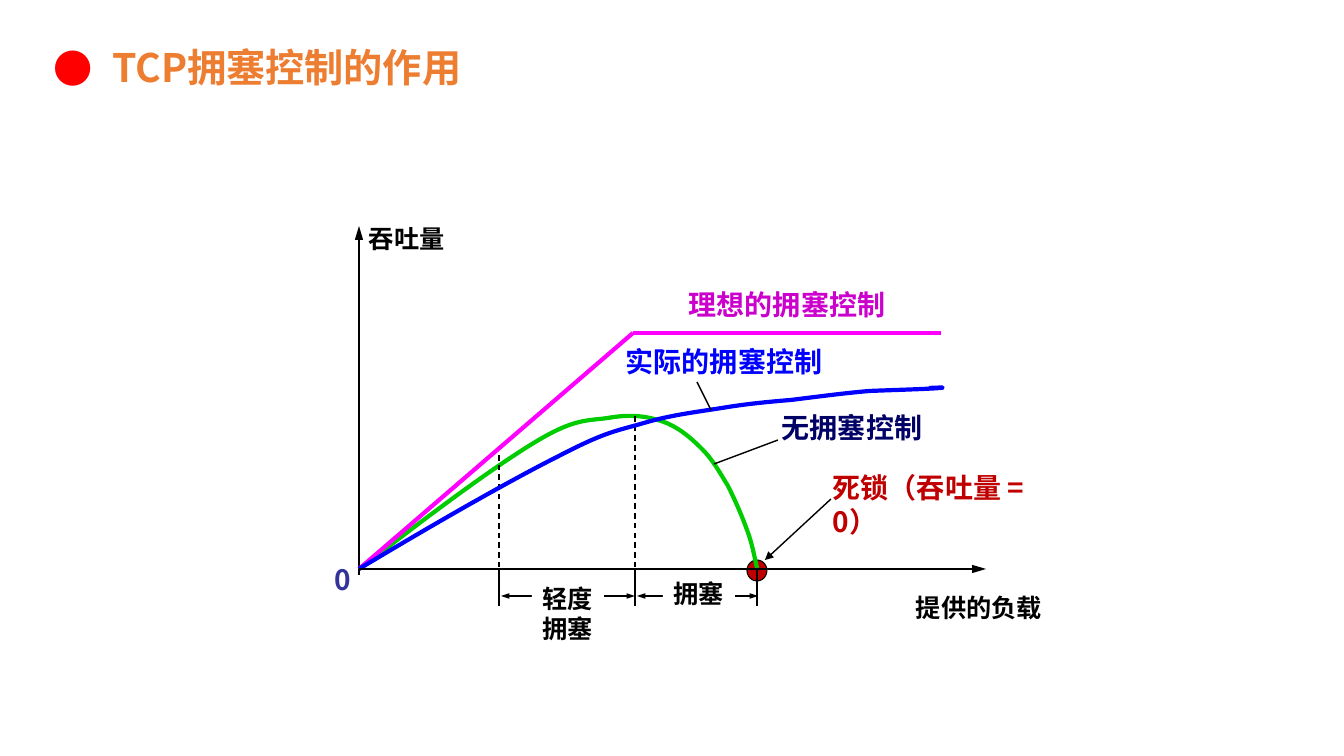
from lxml import etree
from pptx import Presentation
from pptx import util as u
from pptx.dml import color
from pptx.enum import dml, shapes, text
from pptx.oxml import ns

SCALE = 914400 / 100.8
FONT = "Noto Sans CJK SC"
BLACK, WHITE, DEADLOCK = "000000", "FFFFFF", "C00000"
ORIGIN_X, AXIS_Y = 359, 569
LIGHT_X, HEAVY_X, DEADLOCK_X = 499, 635, 757

NO_CONTROL_CURVE = [
    (361, 568), (425, 518), (491, 469), (532, 444), (574, 418), (587, 421),
    (608, 418), (630, 414), (646, 416), (661, 421), (677, 426), (690, 437),
    (702, 449), (713, 460), (720, 473), (728, 486), (735, 500), (742, 516),
    (747, 530), (752, 543), (754, 555), (757, 568)]
ACTUAL_CURVE = [
    (359, 569), (434, 524), (511, 480), (559, 456), (607, 431), (617, 431),
    (644, 423), (671, 415), (697, 412), (722, 408), (746, 404), (767, 402),
    (791, 400), (816, 397), (845, 393), (870, 391), (895, 390), (930, 389),
    (940, 388), (950, 387), (930, 388), (929, 388)]


def px(length):
    return u.Emu(round(length * SCALE))


def rgb(value):
    return color.RGBColor.from_string(value)


def apply(target, formats):
    for name, value in formats.items():
        setattr(target, name, value)


def add_element(parent, tag, **attributes):
    return etree.SubElement(parent, ns.qn(tag), **attributes)


def style_line(line, hue, width):
    line.color.rgb = rgb(hue)
    line.width = u.Pt(width)


def add_line(slide, start, end, hue=BLACK, width=1, dashed=False, arrows=(), size=("med", "med")):
    connector = slide.shapes.add_connector(
        shapes.MSO_CONNECTOR.STRAIGHT, *map(px, start + end))
    style_line(connector.line, hue, width)
    if dashed:
        connector.line.dash_style = dml.MSO_LINE.DASH
    for end_tag in arrows:
        add_element(connector.line._get_or_add_ln(), end_tag,
                    type="triangle", w=size[0], len=size[1])
    add_element(connector._element.spPr, "a:effectLst")


def add_curve(slide, points, hue):
    builder = slide.shapes.build_freeform(*points[0], scale=SCALE)
    builder.add_line_segments(points[1:], close=False)
    curve = builder.convert_to_shape()
    curve.shadow.inherit = False
    curve.fill.background()
    style_line(curve.line, hue, 3)
    outline = curve._element.spPr.find(".//" + ns.qn("a:path"))
    segments = outline.findall(ns.qn("a:lnTo"))
    for first in range(0, len(segments), 3):
        bezier = add_element(outline, "a:cubicBezTo")
        for segment in segments[first:first + 3]:
            bezier.append(segment[0])
            outline.remove(segment)


def write(paragraph, words, size, hue):
    run = paragraph.add_run()
    run.text = words
    apply(run.font, {"name": FONT, "size": u.Pt(size), "bold": True})
    run.font.color.rgb = rgb(hue)
    add_element(run.font._element, "a:ea", typeface=FONT)


def add_label(slide, place, lines, size, hue, wrap=False, inset_right=10, boxed=False):
    if boxed:
        label = slide.shapes.add_shape(shapes.MSO_SHAPE.RECTANGLE, *map(px, place))
        label.shadow.inherit = False
        label.fill.solid()
        label.fill.fore_color.rgb = rgb(WHITE)
        label.line.fill.background()
    else:
        label = slide.shapes.add_textbox(*map(px, place))
    frame = label.text_frame
    apply(frame, {"word_wrap": wrap, "margin_right": px(inset_right),
                  "vertical_anchor": text.MSO_ANCHOR.TOP})
    for index, words in enumerate(lines):
        paragraph = frame.add_paragraph() if index else frame.paragraphs[0]
        paragraph.alignment = text.PP_ALIGN.CENTER if boxed else text.PP_ALIGN.LEFT
        write(paragraph, words, size, hue)


def add_title(slide, words):
    title = slide.shapes.title
    apply(title, dict(zip(("left", "top", "width", "height"), map(px, (43, 38, 809, 57)))))
    apply(title.text_frame, {"word_wrap": True, "auto_size": text.MSO_AUTO_SIZE.NONE,
                             "vertical_anchor": text.MSO_ANCHOR.MIDDLE})
    paragraph = title.text_frame.paragraphs[0]
    paragraph.alignment = text.PP_ALIGN.LEFT
    properties = paragraph._p.get_or_add_pPr()
    properties.set("marL", str(px(59)))
    properties.set("indent", str(px(-59)))
    add_element(add_element(properties, "a:buClr"), "a:srgbClr", val="FF0000")
    add_element(properties, "a:buFont", typeface=FONT)
    add_element(properties, "a:buChar", char="●")
    write(paragraph, words, 28, "ED7D31")


def add_deadlock_point(slide):
    point = slide.shapes.add_shape(shapes.MSO_SHAPE.OVAL, *map(px, (747, 560, 20, 21)))
    point.shadow.inherit = False
    point.fill.solid()
    point.fill.fore_color.rgb = rgb(DEADLOCK)
    style_line(point.line, BLACK, 0.75)


def add_stages(slide):
    for start, end in ((HEAVY_X + 2, DEADLOCK_X + 1), (LIGHT_X + 2, HEAVY_X)):
        add_line(slide, (start, 596), (end, 596),
                 arrows=("a:headEnd", "a:tailEnd"), size=("sm", "med"))
    for x in (LIGHT_X, HEAVY_X, DEADLOCK_X):
        add_line(slide, (x, AXIS_Y), (x, 606))
    for x, top in ((LIGHT_X, 455), (HEAVY_X, 416)):
        add_line(slide, (x, top), (x, AXIS_Y), dashed=True)
    add_label(slide, (663, 573, 72, 40), ["拥塞"], 18, BLACK, boxed=True)
    add_label(slide, (532, 578, 72, 72), ["轻度", "拥塞"], 18, BLACK, boxed=True)


def main():
    deck = Presentation()
    deck.slide_width, deck.slide_height = px(1344), px(756)
    slide = deck.slides.add_slide(deck.slide_layouts[5])
    add_title(slide, "TCP拥塞控制的作用")

    add_label(slide, (823, 466, 274, 44), ["死锁（吞吐量 = 0）"], 20, DEADLOCK,
              wrap=True, inset_right=59)
    add_line(slide, (831, 499), (765, 560), arrows=("a:tailEnd",))
    add_deadlock_point(slide)

    add_curve(slide, NO_CONTROL_CURVE, "00CC00")
    add_label(slide, (772, 406, 161, 44), ["无拥塞控制"], 20, "000066")
    add_line(slide, (778, 440), (714, 464))
    add_stages(slide)

    add_line(slide, (ORIGIN_X, 575), (ORIGIN_X, 226), arrows=("a:tailEnd",), size=("med", "lg"))
    add_label(slide, (906, 587, 158, 40), ["提供的负载"], 18, BLACK, wrap=True)
    add_label(slide, (359, 218, 106, 40), ["吞吐量"], 18, BLACK, wrap=True)

    knee = (633, 333)
    for start, end in (((ORIGIN_X, AXIS_Y), knee), (knee, (941, 333))):
        add_line(slide, start, end, "FF00FF", 3)
    add_label(slide, (679, 283, 219, 44), ["理想的拥塞控制"], 20, "CC00CC")

    add_curve(slide, ACTUAL_CURVE, "0000FF")
    add_label(slide, (616, 340, 219, 44), ["实际的拥塞控制"], 20, "0000FF")
    add_line(slide, (697, 382), (711, 410))

    add_line(slide, (ORIGIN_X, AXIS_Y), (986, AXIS_Y), arrows=("a:tailEnd",), size=("med", "lg"))
    add_label(slide, (325, 558, 41, 44), ["0"], 20, "333399", wrap=True)
    deck.save("out.pptx")


if __name__ == "__main__":
    main()
